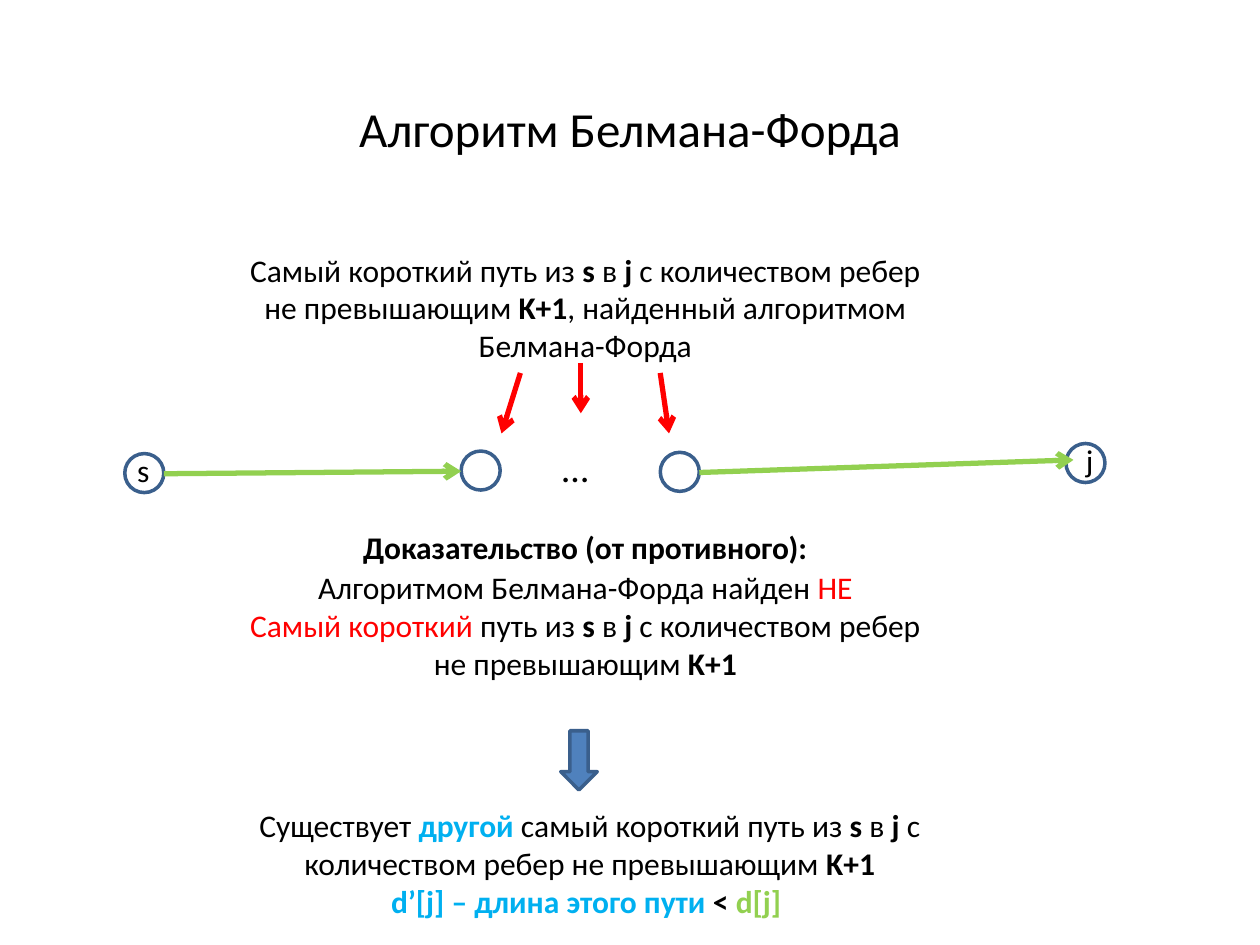
from lxml import etree
from pptx import Presentation
from pptx.dml.color import RGBColor
from pptx.enum.shapes import MSO_CONNECTOR, MSO_SHAPE
from pptx.enum.text import MSO_ANCHOR, PP_ALIGN
from pptx.oxml.ns import qn
from pptx.util import Inches, Pt

STRAIGHT = MSO_CONNECTOR.STRAIGHT
OVAL, DOWN_ARROW = MSO_SHAPE.OVAL, MSO_SHAPE.DOWN_ARROW
LEFT, CENTER = PP_ALIGN.LEFT, PP_ALIGN.CENTER
MIDDLE = MSO_ANCHOR.MIDDLE

BLACK = RGBColor(0x00, 0x00, 0x00)
WHITE = RGBColor(0xFF, 0xFF, 0xFF)
RED = RGBColor(0xFF, 0x00, 0x00)
GREEN = RGBColor(0x92, 0xD0, 0x50)
SKY = RGBColor(0x00, 0xB0, 0xF0)
BLUE = RGBColor(0x4F, 0x81, 0xBD)
OUTLINE = RGBColor(0x3A, 0x5F, 0x8C)

presentation = Presentation()
presentation.slide_width = Inches(10)
presentation.slide_height = Inches(7.5)
slide = presentation.slides.add_slide(presentation.slide_layouts[5])

# The grid has 100 columns and 75 rows of square cells.
CELL = presentation.slide_width // 100


def grid(*cells):
    return [round(cell * CELL) for cell in cells]


def write(shape, paragraphs, size=18, align=CENTER):
    """Fill a shape with paragraphs made of (text, bold, colour) runs."""
    frame = shape.text_frame
    for index, runs in enumerate(paragraphs):
        paragraph = frame.add_paragraph() if index else frame.paragraphs[0]
        paragraph.alignment = align
        for text, bold, color in runs:
            run = paragraph.add_run()
            run.text = text
            run.font.name = "Calibri"
            run.font.size = Pt(size)
            run.font.bold = bold
            run.font.color.rgb = color


title = slide.shapes.title
title.left, title.top, title.width, title.height = grid(7.5, 2.1, 85, 16.1)
title.text_frame.vertical_anchor = MIDDLE
write(title, [[("Алгоритм Белмана-Форда", False, BLACK)]], size=28)

# Path vertices and the arrow of implication
NODE = 3.1
for kind, left, top, width, height, fill in [
    (OVAL, 9.9, 36, NODE, NODE, WHITE),
    (OVAL, 36.6, 35.8, NODE, NODE, WHITE),
    (OVAL, 52.4, 35.9, NODE, NODE, WHITE),
    (OVAL, 84.6, 35.2, NODE, NODE, WHITE),
    (DOWN_ARROW, 44.5, 58, 2.9, 4.7, BLUE),
]:
    shape = slide.shapes.add_shape(kind, *grid(left, top, width, height))
    shape.shadow.inherit = False
    shape.fill.solid()
    shape.fill.fore_color.rgb = fill
    shape.line.color.rgb = OUTLINE
    shape.line.width = Pt(2)

# Vertex labels
for text, left, top, width in [("s", 9.9, 35.3, 3), ("j", 85.2, 34.5, 2.6)]:
    label = slide.shapes.add_textbox(*grid(left, top, width, 4))
    label.text_frame.word_wrap = False
    write(label, [[(text, False, BLACK)]], align=LEFT)

ellipsis = slide.shapes.add_textbox(*grid(42.1, 35.1, 7.1, 3.9))
ellipsis.text_frame.word_wrap = True
ellipsis.text_frame.vertical_anchor = MIDDLE
write(ellipsis, [[("…", False, BLACK)]], size=21.7)

# Path edges in green, pointers to the path in red
for start_x, start_y, end_x, end_y, color in [
    (13, 37.6, 36.6, 37.4, GREEN),
    (55.5, 37.5, 85.2, 36.5, GREEN),
    (41.3, 29.6, 39.8, 34.4, RED),
    (46.1, 28.8, 46.1, 32.8, RED),
    (52.4, 29.6, 53.1, 34.4, RED),
]:
    arrow = slide.shapes.add_connector(STRAIGHT, *grid(start_x, start_y, end_x, end_y))
    arrow.line.color.rgb = color
    arrow.line.width = Pt(3)
    etree.SubElement(arrow.line._get_or_add_ln(), qn("a:tailEnd"), type="arrow")
    etree.SubElement(arrow._element.spPr, qn("a:effectLst"))

# Statement, proof and conclusion
from_s_to_j = [
    ("s ", True, BLACK),
    ("в ", False, BLACK),
    ("j ", True, BLACK),
    ("с количеством ребер не превышающим ", False, BLACK),
    ("K+1", True, BLACK),
]
statement = [[
    ("Самый короткий путь из ", False, BLACK),
    *from_s_to_j,
    (", найденный алгоритмом Белмана-Форда", False, BLACK),
]]
proof_heading = [[("Доказательство (от противного):", True, BLACK)]]
assumption = [
    [("Алгоритмом Белмана-Форда найден ", False, BLACK), ("НЕ", False, RED)],
    [("Самый короткий ", False, RED), ("путь из ", False, BLACK), *from_s_to_j],
]
conclusion = [
    [
        ("Существует ", False, BLACK),
        ("другой", True, SKY),
        (" самый короткий путь из ", False, BLACK),
        *from_s_to_j,
    ],
    [
        ("d’[j] – длина этого пути ", True, SKY),
        ("< ", True, BLACK),
        ("d[j] ", True, GREEN),
    ],
]
for paragraphs, left, top, width, height in [
    (statement, 18.5, 19.4, 55.9, 10.1),
    (proof_heading, 18.5, 41.4, 55.9, 4),
    (assumption, 18.5, 44.6, 55.9, 10.1),
    (conclusion, 16.9, 63.5, 59.8, 10.1),
]:
    box = slide.shapes.add_textbox(*grid(left, top, width, height))
    box.text_frame.word_wrap = True
    write(box, paragraphs)

presentation.save("out.pptx")
